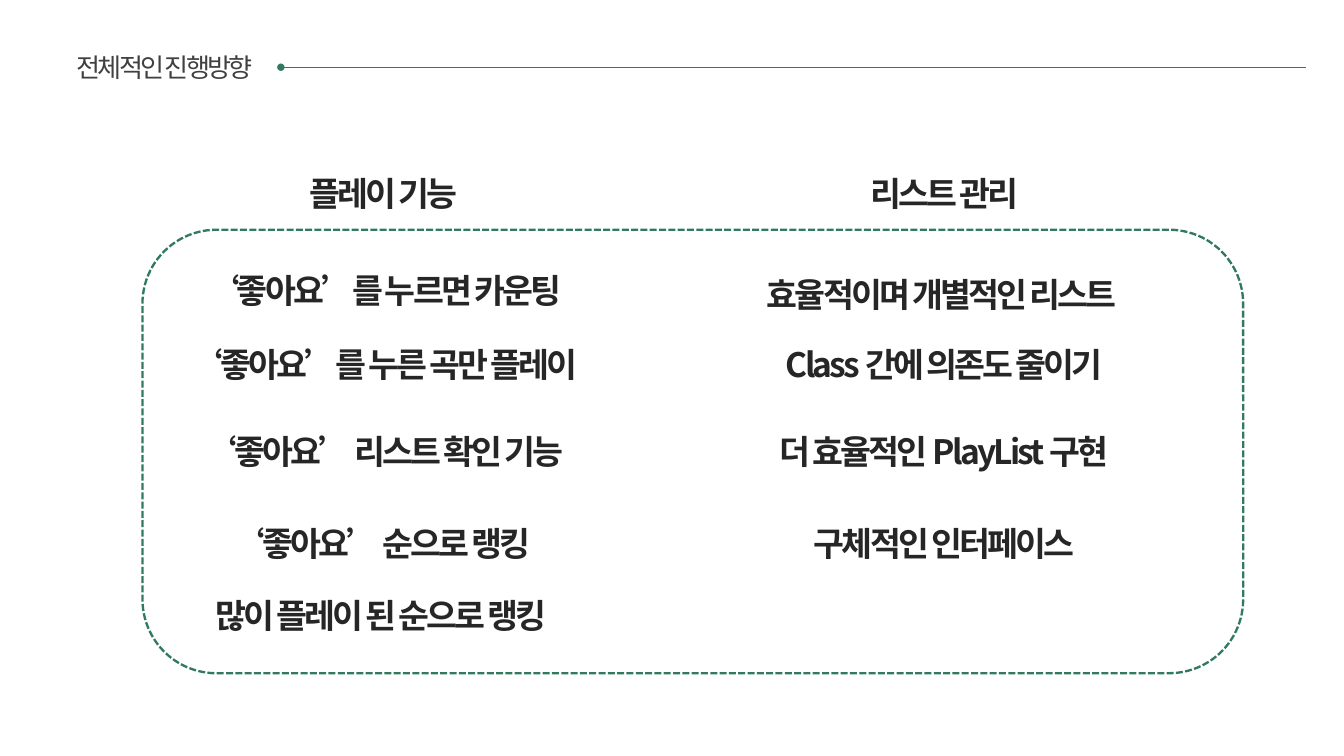
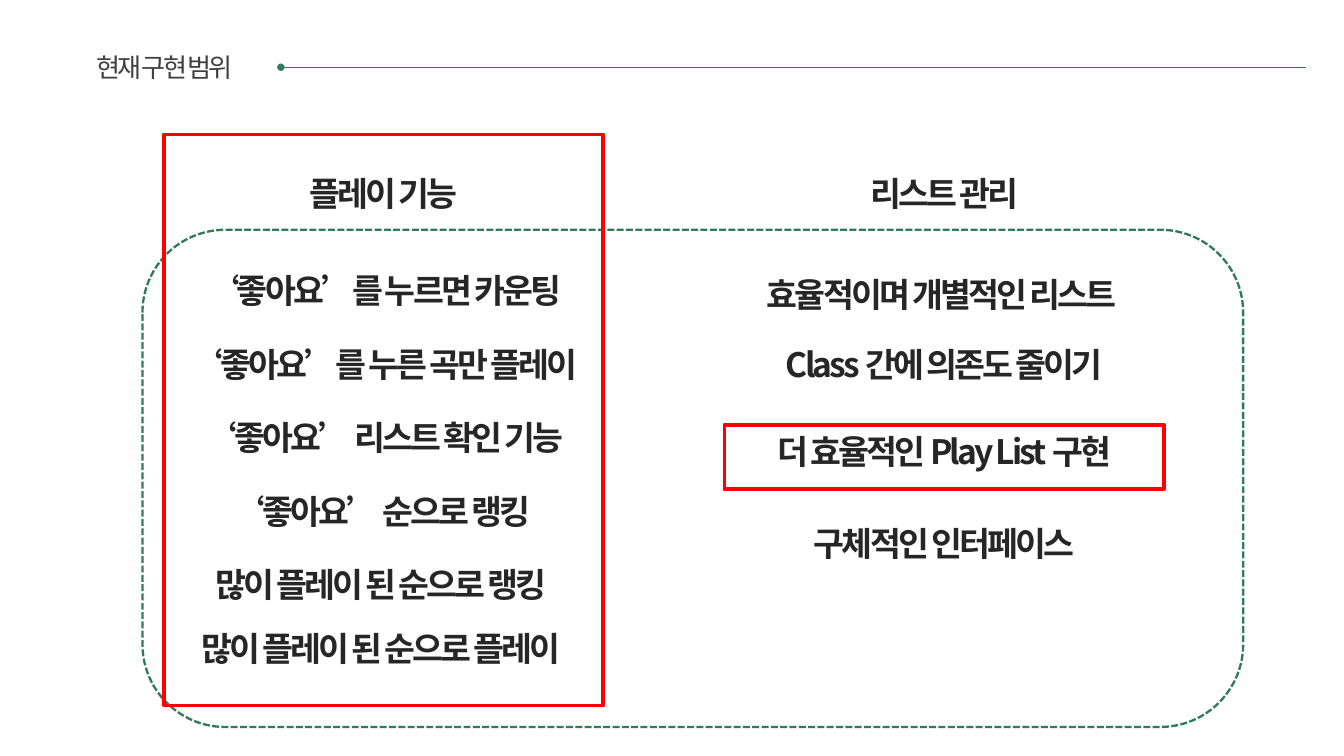
from collections import namedtuple
from dataclasses import dataclass

from lxml.etree import SubElement
from pptx import Presentation
from pptx.dml.color import RGBColor as RGB
from pptx.enum.dml import MSO_LINE as DASH
from pptx.enum.shapes import MSO_CONNECTOR as CONN, MSO_SHAPE as SHAPE
from pptx.enum.text import MSO_ANCHOR as ANCHOR, MSO_AUTO_SIZE as FIT, PP_ALIGN as ALIGN
from pptx.oxml.ns import qn
from pptx.util import Inches, Pt

Box = namedtuple("Box", "x y w h")


@dataclass(frozen=True)
class Theme:
    """Colours, type sizes and line widths shared by the slides."""
    font: str = "Noto Sans CJK KR"
    green: str = "327A5D"
    red: str = "FF0000"
    title_ink: str = "404040"
    ink: str = "262626"
    title_size: float = 14
    body_size: float = 18
    tracking: float = -1.5
    rule: float = 0.75
    frame: float = 1.25
    mark: float = 2


T = Theme()
GRID = 100
WIDTH = Inches(10)
HEIGHT = WIDTH * 9 // 16

TITLE = Box(2, 3.3, 20.5, 3.4)
RULE = Box(20.9, 5, 76.3, 0)
PLAY = Box(12.2, 12.4, 32.7, 4)
LIST = PLAY._replace(x=53.9)
FRAME = Box(10.6, 17.1, 81.9, 33)


def emu(n):
    """Turn grid units, each a hundredth of the slide width, into EMU."""
    return round(n * WIDTH / GRID)


def place(sp, box):
    """Move a shape to a grid box."""
    sp.left, sp.top, sp.width, sp.height = map(emu, box)


def write(sp, text, size=T.body_size, color=T.ink, bold=True):
    """Put one centred, tightly tracked line of text into a shape."""
    tf = sp.text_frame
    tf.word_wrap = True
    tf.auto_size = FIT.SHAPE_TO_FIT_TEXT
    tf.vertical_anchor = ANCHOR.TOP
    p = tf.paragraphs[0]
    p.alignment = ALIGN.CENTER
    r = p.add_run()
    r.text = text
    r.font.size, r.font.bold, r.font.name = Pt(size), bold, T.font
    r.font.color.rgb = RGB.from_string(color)
    rpr = r.font._element
    rpr.set("spc", str(round(T.tracking * 100)))
    SubElement(rpr, qn("a:ea")).set("typeface", T.font)


def add_outline(s, box, kind=SHAPE.RECTANGLE, color=T.red, width=T.mark, dash=None):
    """Draw an unfilled outline around a box."""
    sp = s.shapes.add_shape(kind, *map(emu, box))
    sp.shadow.inherit = False
    sp.fill.background()
    sp.line.color.rgb = RGB.from_string(color)
    sp.line.width = Pt(width)
    if dash:
        sp.line.dash_style = dash


def add_header(s, title, box=TITLE, rule=RULE):
    """Set the slide title and the rule that runs from it to the right."""
    place(s.shapes.title, box)
    write(s.shapes.title, title, size=T.title_size, color=T.title_ink, bold=False)
    ln = s.shapes.add_connector(CONN.STRAIGHT, emu(rule.x), emu(rule.y),
                                emu(rule.x + rule.w), emu(rule.y + rule.h))
    ln.line.color.rgb = RGB.from_string(T.green)
    ln.line.width = Pt(T.rule)
    head = SubElement(ln.line._get_or_add_ln(), qn("a:headEnd"))
    for name, value in (("type", "oval"), ("w", "sm"), ("len", "sm")):
        head.set(name, value)
    SubElement(ln._element.spPr, qn("a:effectLst"))


def add_column(s, box, heading, items, rows):
    """Write a heading in its box and the items below it at row offsets."""
    for text, row in zip([heading, *items], [0, *rows]):
        line = box._replace(y=box.y + row)
        write(s.shapes.add_textbox(*map(emu, line)), text)


def add_plan(prs, title, plays, play_rows, lists, frame, marks=()):
    """Build a slide with two feature columns, a dashed frame and marked boxes."""
    s = prs.slides.add_slide(prs.slide_layouts[5])
    add_header(s, title)
    add_outline(s, frame, SHAPE.ROUNDED_RECTANGLE, T.green, T.frame, DASH.SQUARE_DOT)
    add_column(s, PLAY, "플레이 기능", plays, play_rows)
    add_column(s, LIST, "리스트 관리", lists, LIST_ROWS)
    for box in marks:
        add_outline(s, box)


LIST_ROWS = [7.5, 12.7, 19.2, 26]
PLAN_ROWS = [7.2, 12.7, 19.2, 26, 31.4]
SCOPE_ROWS = [7.2 + 5.47 * i for i in range(5)] + [33.8]

PLAYS = [
    "‘좋아요’를 누르면 카운팅",
    "‘좋아요’를 누른 곡만 플레이",
    "‘좋아요’ 리스트 확인 기능",
    "‘좋아요’ 순으로 랭킹 ",
    "많이 플레이 된 순으로 랭킹 ",
]


def list_items(name):
    """Return the list column, with the play list spelled as given."""
    return ["효율적이며 개별적인 리스트 ", "Class 간에 의존도 줄이기",
            f"더 효율적인 {name} 구현", "구체적인 인터페이스"]


prs = Presentation()
prs.slide_width, prs.slide_height = WIDTH, HEIGHT

add_plan(prs, "전체적인 진행방향", PLAYS, PLAN_ROWS, list_items("PlayList"), FRAME)
add_plan(prs, "현재 구현 범위", PLAYS + ["많이 플레이 된 순으로 플레이 "], SCOPE_ROWS,
         list_items("Play List"), FRAME._replace(h=37),
         marks=[PLAY._replace(y=10, h=42.5),
                LIST._replace(y=LIST.y + LIST_ROWS[2], h=4.8)])

prs.save("out.pptx")
